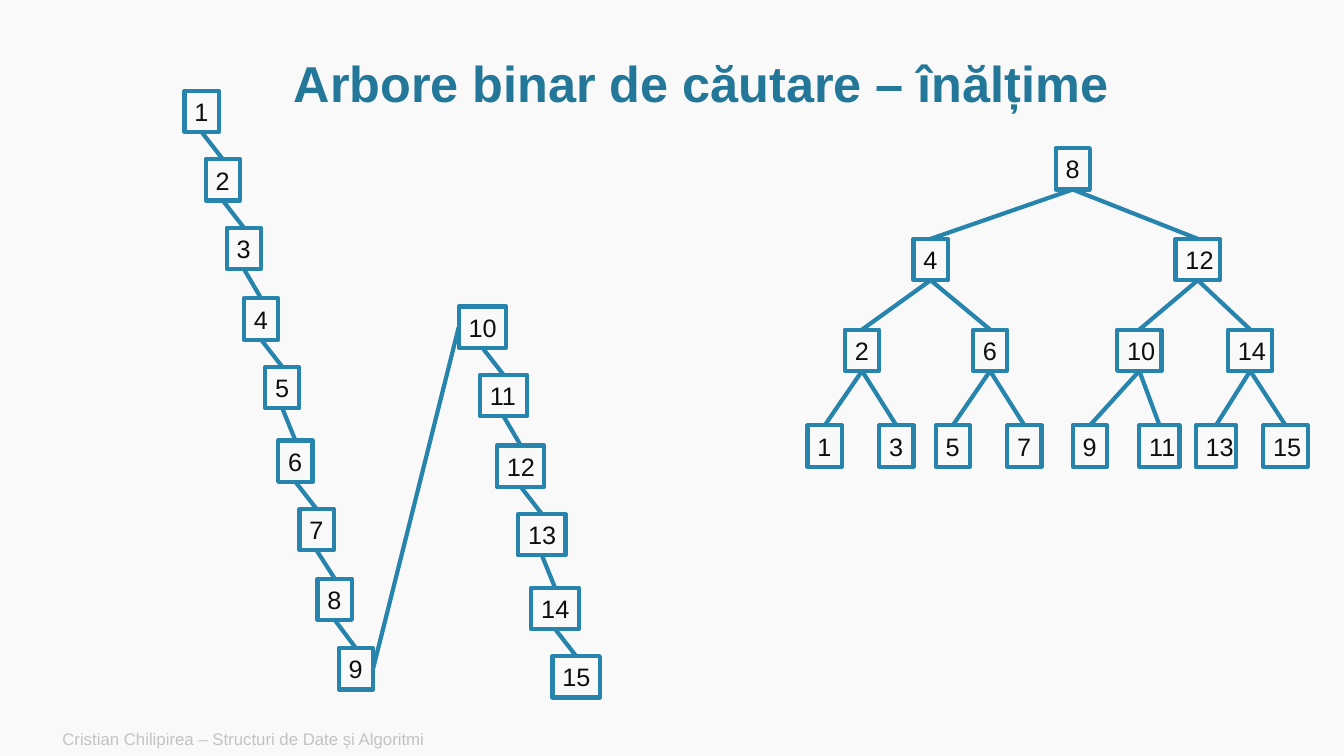
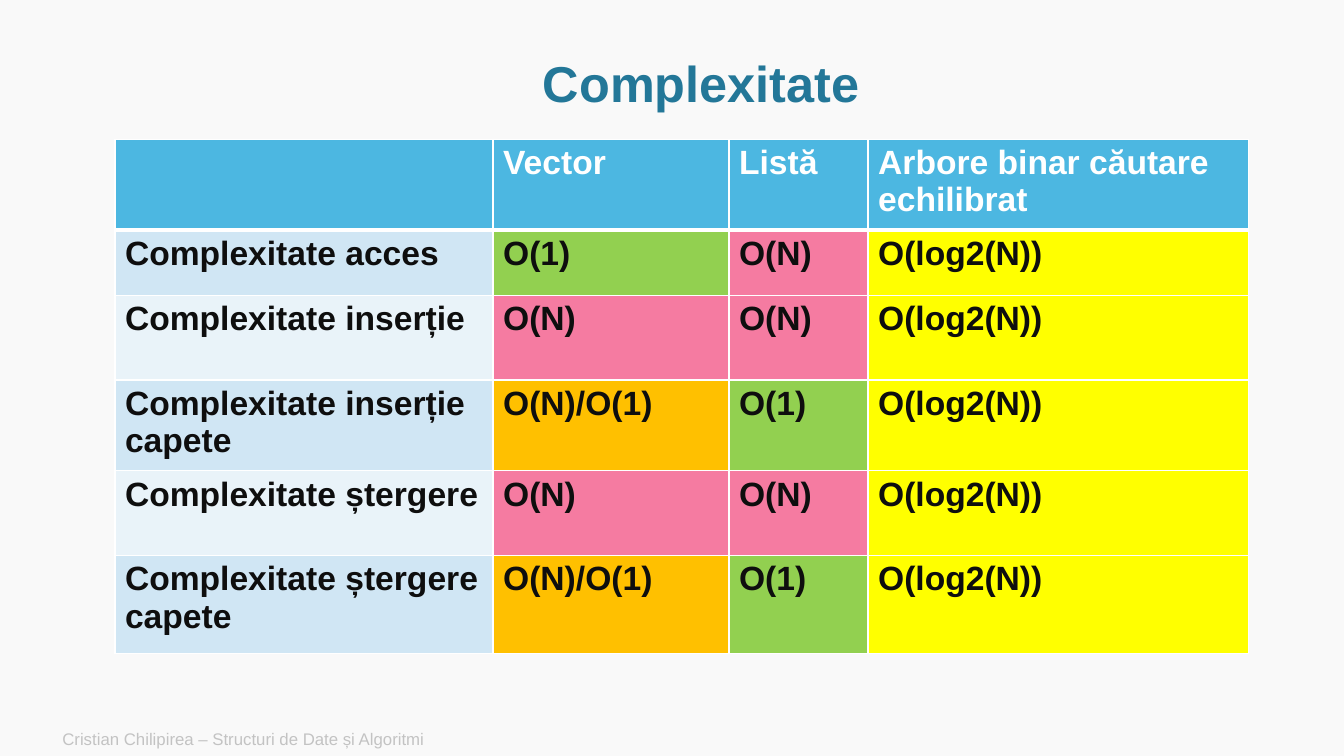
from dataclasses import dataclass
from itertools import accumulate, pairwise

from lxml import etree
from pptx import Presentation
from pptx import util as u
from pptx.dml.color import RGBColor
from pptx.enum import shapes, text
from pptx.oxml import ns

PX = 9144


@dataclass(frozen=True)
class Theme:
    font: str = "Arial"
    background: str = "F9F9F9"
    title: str = "237798"
    footer: str = "C3C3C3"
    ink: str = "0E0E0E"
    line: str = "2785AD"
    white: str = "FFFFFF"
    header: str = "4CB7E1"
    bands: tuple = ("D0E6F4", "E9F3F9")
    good: str = "92D050"
    mixed: str = "FFC000"
    bad: str = "F57BA1"
    logarithmic: str = "FFFF00"
    title_size: int = 36
    table_size: int = 24
    node_size: int = 18
    footer_size: int = 12
    line_width: int = 3
    border_width: int = 1


THEME = Theme()
FOOTER = "Cristian Chilipirea – Structuri de Date și Algoritmi"

NODE_W, NODE_H = 34, 41
TOP, LEFT, BOTTOM, RIGHT = range(4)
CHAIN_STEPS = [(21, 68), (21, 68), (17, 70), (21, 68), (13, 73), (21, 68), (18, 69), (21, 69)]
LEVEL_TOPS = {8: 147, 4: 237, 2: 327, 1: 422}
TREE_LEFTS = {
    1: 801, 2: 838, 3: 872, 4: 906, 5: 928, 6: 965, 7: 999, 8: 1047,
    9: 1064, 10: 1108, 11: 1130, 12: 1166, 13: 1186, 14: 1218, 15: 1253,
}

HEADERS = ["", "Vector", "Listă", "Arbore binar căutare echilibrat"]
ROWS = [
    ["Complexitate acces", "O(1)", "O(N)"],
    ["Complexitate inserție", "O(N)", "O(N)"],
    ["Complexitate inserție capete", "O(N)/O(1)", "O(1)"],
    ["Complexitate ștergere", "O(N)", "O(N)"],
    ["Complexitate ștergere capete", "O(N)/O(1)", "O(1)"],
]
LOG_COST = "O(log2(N))"
COST_FILLS = {
    "O(1)": THEME.good,
    "O(N)": THEME.bad,
    "O(N)/O(1)": THEME.mixed,
    LOG_COST: THEME.logarithmic,
}
COLUMN_WIDTHS = [375, 234, 138, 377]
ROW_HEIGHTS = [84, 65, 84, 84, 84, 97]


def px(*lengths):
    return [u.Emu(n * PX) for n in lengths]


def rgb(value):
    return RGBColor.from_string(value)


def write(tf, content, size, color, bold=False):
    tf.text = content
    p = tf.paragraphs[0]
    for r in p.runs:
        r.font.name = THEME.font
        r.font.size = u.Pt(size)
        r.font.bold = bold
        r.font.color.rgb = rgb(color)
    return p


def add_slide(prs, title):
    s = prs.slides.add_slide(prs.slide_layouts[5])

    footer = s.shapes.add_textbox(*px(52, 716, 840, 34))
    tf = footer.text_frame
    tf.word_wrap = True
    tf.vertical_anchor = text.MSO_ANCHOR.MIDDLE
    write(tf, FOOTER, THEME.footer_size, THEME.footer)

    sp = s.shapes.title
    sp.left, sp.top, sp.width, sp.height = px(114, 51, 1163, 69)
    tf = sp.text_frame
    tf.auto_size = text.MSO_AUTO_SIZE.NONE
    tf.vertical_anchor = text.MSO_ANCHOR.MIDDLE
    p = write(tf, title, THEME.title_size, THEME.title, bold=True)
    p.alignment = text.PP_ALIGN.CENTER
    p.line_spacing = 0.9
    return s


def add_node(s, value, left, top, width=NODE_W):
    sp = s.shapes.add_shape(shapes.MSO_SHAPE.RECTANGLE, *px(left, top, width, NODE_H))
    sp.shadow.inherit = False
    sp.fill.background()
    sp.line.color.rgb = rgb(THEME.line)
    sp.line.width = u.Pt(THEME.line_width)
    tf = sp.text_frame
    tf.word_wrap = False
    tf.vertical_anchor = text.MSO_ANCHOR.MIDDLE
    p = write(tf, str(value), THEME.node_size, THEME.ink)
    p.alignment = text.PP_ALIGN.LEFT
    return sp


def add_edge(s, parent, child, start=BOTTOM, end=TOP):
    edge = s.shapes.add_connector(shapes.MSO_CONNECTOR.STRAIGHT, 0, 0, 0, 0)
    edge.begin_connect(parent, start)
    edge.end_connect(child, end)
    edge.line.color.rgb = rgb(THEME.line)
    edge.line.width = u.Pt(THEME.line_width)
    etree.SubElement(edge.element.spPr, ns.qn("a:effectLst"))


def add_chain(s, first, start, steps, width=NODE_W):
    corners = accumulate(steps, lambda a, b: (a[0] + b[0], a[1] + b[1]), initial=start)
    nodes = [add_node(s, n, *corner, width) for n, corner in enumerate(corners, first)]
    for parent, child in pairwise(nodes):
        add_edge(s, parent, child)
    return nodes


def add_balanced_tree(s):
    nodes = {}
    for n, left in TREE_LEFTS.items():
        width = NODE_W if n < 10 else 40 if n in (11, 13) else 44
        nodes[n] = add_node(s, n, left, LEVEL_TOPS[n & -n], width)
    for n, parent in nodes.items():
        reach = (n & -n) // 2
        if reach:
            add_edge(s, parent, nodes[n - reach])
            add_edge(s, parent, nodes[n + reach])


def set_border(cell, side, width):
    tcPr = cell._tc.get_or_add_tcPr()
    ln = etree.SubElement(tcPr, ns.qn(f"a:ln{side}"), w=str(u.Pt(width)))
    fill = etree.SubElement(ln, ns.qn("a:solidFill"))
    etree.SubElement(fill, ns.qn("a:srgbClr"), val=THEME.white)


def fill_cell(cell, content, fill, color, thick_side=None):
    for side in "LRTB":
        set_border(cell, side, THEME.line_width if side == thick_side else THEME.border_width)
    cell.fill.solid()
    cell.fill.fore_color.rgb = rgb(fill)
    write(cell.text_frame, content, THEME.table_size, color, bold=True)


def add_complexity_table(s):
    frame = s.shapes.add_table(
        len(ROW_HEIGHTS), len(COLUMN_WIDTHS),
        *px(114, 138, sum(COLUMN_WIDTHS), sum(ROW_HEIGHTS)),
    )
    table = frame.table
    for column, width in zip(table.columns, px(*COLUMN_WIDTHS)):
        column.width = width
    for row, height in zip(table.rows, px(*ROW_HEIGHTS)):
        row.height = height
    for j, header in enumerate(HEADERS):
        fill_cell(table.cell(0, j), header, THEME.header, THEME.white, "B")
    for i, row in enumerate(ROWS, 1):
        band = THEME.bands[(i - 1) % 2]
        for j, content in enumerate([*row, LOG_COST]):
            fill = COST_FILLS.get(content, band)
            fill_cell(table.cell(i, j), content, fill, THEME.ink, "T" if i == 1 else None)


def main():
    prs = Presentation()
    prs.slide_width, prs.slide_height = px(1333, 750)
    background = prs.slide_master.background.fill
    background.solid()
    background.fore_color.rgb = rgb(THEME.background)

    s = add_slide(prs, "Arbore binar de căutare – înălțime")
    add_balanced_tree(s)
    upper = add_chain(s, 1, (183, 90), CHAIN_STEPS)
    lower = add_chain(s, 10, (455, 304), CHAIN_STEPS[1:6], width=47)
    add_edge(s, upper[-1], lower[0], RIGHT, LEFT)

    s = add_slide(prs, "Complexitate")
    add_complexity_table(s)

    prs.save("out.pptx")


if __name__ == "__main__":
    main()
